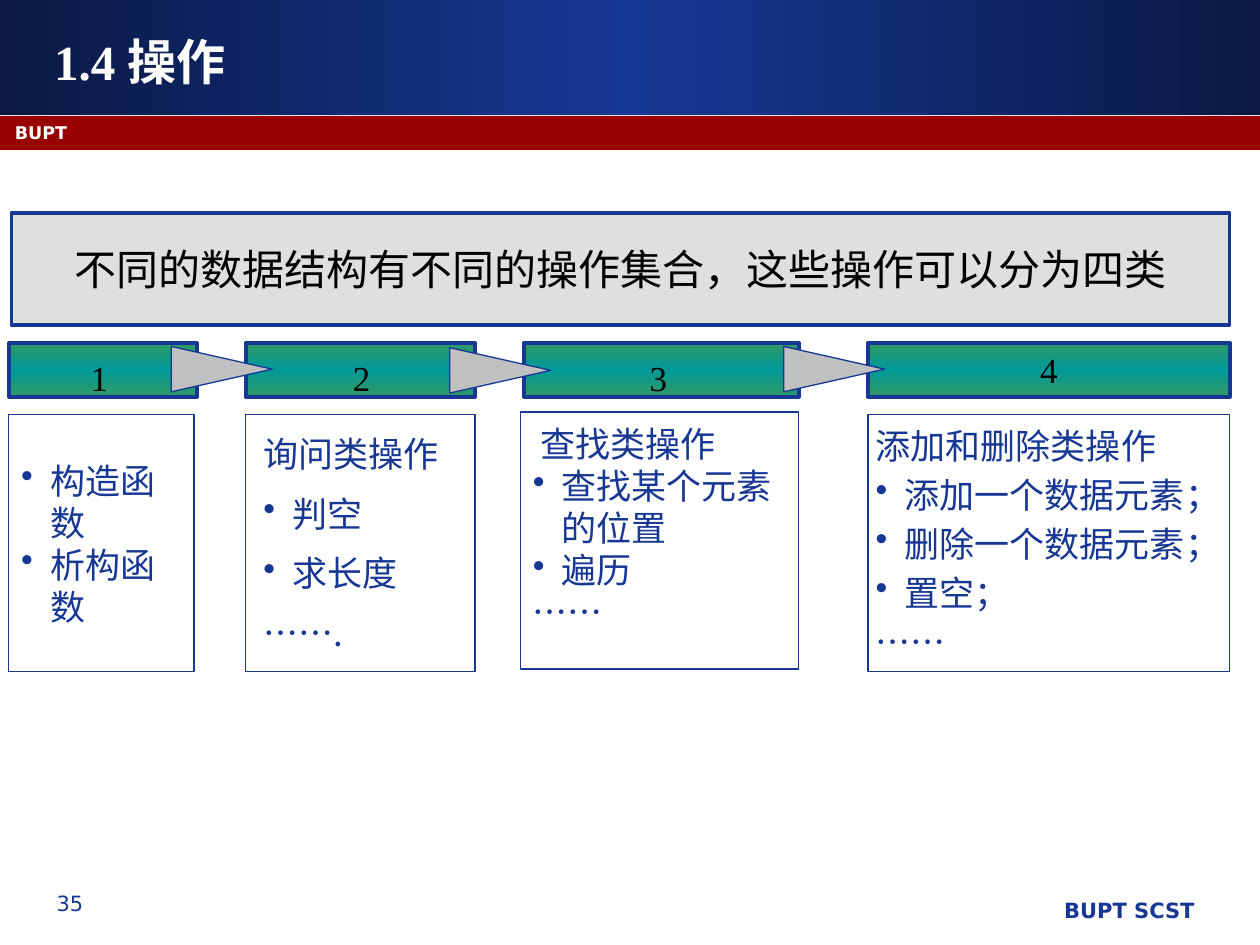
from copy import deepcopy

from lxml import etree
from pptx import Presentation
from pptx.dml.color import RGBColor
from pptx.enum.shapes import MSO_SHAPE
from pptx.enum.text import MSO_ANCHOR, PP_ALIGN
from pptx.oxml.ns import qn
from pptx.util import Inches, Pt

RECT, TRIANGLE = MSO_SHAPE.RECTANGLE, MSO_SHAPE.ISOSCELES_TRIANGLE
LEFT, CENTER, RIGHT = PP_ALIGN.LEFT, PP_ALIGN.CENTER, PP_ALIGN.RIGHT
TOP, MIDDLE = MSO_ANCHOR.TOP, MSO_ANCHOR.MIDDLE

NAVY = RGBColor(0x0A, 0x19, 0x44)
BLUE = RGBColor(0x16, 0x37, 0x94)
RED = RGBColor(0x99, 0x00, 0x00)
GREEN = RGBColor(0x33, 0x99, 0x66)
TEAL = RGBColor(0x00, 0x99, 0x99)
SILVER = RGBColor(0xC0, 0xC0, 0xC0)
WHITE = RGBColor(0xFF, 0xFF, 0xFF)
BLACK = RGBColor(0x00, 0x00, 0x00)

SERIF, SANS, CJK = "Times New Roman", "DejaVu Sans", "Noto Sans CJK SC"
BULLET = "•"
INSETS = (0.1, 0.05, 0.1, 0.05)


class SlideBuilder:
    def __init__(self, slide):
        self.slide = slide

    def shape(self, kind, at, fill=None, line=None, width=0.75):
        shape = self.slide.shapes.add_shape(kind, *map(Inches, at))
        shape.shadow.inherit = False
        if fill is None:
            shape.fill.background()
        else:
            shape.fill.solid()
            shape.fill.fore_color.rgb = fill
        if line is None:
            shape.line.fill.background()
        else:
            shape.line.color.rgb = line
            shape.line.width = Pt(width)
        return shape

    def gradient_bar(self, at, edge, middle, angle, line=None, width=0.75):
        bar = self.shape(RECT, at, edge, line, width)
        bar.fill.gradient()
        bar.fill.gradient_angle = angle
        stop_list = bar._element.spPr.find(qn("a:gradFill")).find(qn("a:gsLst"))
        stop_list.insert(1, deepcopy(stop_list[0]))
        for stop, position, color in zip(bar.fill.gradient_stops, (0, 0.5, 1), (edge, middle, edge)):
            stop.position = position
            stop.color.rgb = color

    def format(self, paragraph, size, font, color, bold=False, align=LEFT):
        paragraph.alignment = align
        style = paragraph.font
        style.size, style.bold, style.name = Pt(size), bold, font
        style.color.rgb = color
        etree.SubElement(style._element, qn("a:ea"), typeface=CJK)

    def frame(self, shape, anchor=TOP, insets=INSETS, wrap=True):
        frame = shape.text_frame
        frame.word_wrap = wrap
        frame.vertical_anchor = anchor
        (frame.margin_left, frame.margin_top,
         frame.margin_right, frame.margin_bottom) = map(Inches, insets)
        return frame

    def label(self, at, text, size, font, color, bold=False, align=LEFT, insets=INSETS):
        frame = self.frame(self.slide.shapes.add_textbox(*map(Inches, at)), insets=insets)
        frame.text = text
        self.format(frame.paragraphs[0], size, font, color, bold, align)

    def title(self, at, text):
        title = self.slide.shapes.title
        title.left, title.top, title.width, title.height = map(Inches, at)
        self.slide.shapes._spTree.append(title._element)
        frame = self.frame(title, MIDDLE)
        frame.text = text
        self.format(frame.paragraphs[0], 28, SERIF, WHITE, True)

    def banner(self, at, text):
        banner = self.shape(RECT, at, SILVER, BLUE, 2)
        color = banner._element.spPr.find(qn("a:solidFill"))[0]
        etree.SubElement(color, qn("a:alpha"), val="50000")
        frame = self.frame(banner, MIDDLE, wrap=False)
        frame.text = text
        self.format(frame.paragraphs[0], 24, SERIF, BLACK, align=CENTER)

    def card(self, at, lines, gap, insets):
        frame = self.frame(self.shape(RECT, at, line=BLUE), MIDDLE, insets)
        for index, line in enumerate(lines):
            paragraph = frame.paragraphs[0] if index == 0 else frame.add_paragraph()
            paragraph.text = line.removeprefix(BULLET)
            paragraph.line_spacing = Pt(24)
            if index:
                paragraph.space_before = Pt(gap)
            if line.startswith(BULLET):
                properties = paragraph._p.get_or_add_pPr()
                properties.set("marL", str(Inches(0.23)))
                properties.set("indent", str(-Inches(0.23)))
                etree.SubElement(properties, qn("a:buChar"), char=BULLET)
            self.format(paragraph, 20, CJK, BLUE)

    def pointer(self, left, top):
        self.shape(TRIANGLE, (left, top, 0.36, 0.8), SILVER, BLUE).rotation = 90


CATEGORIES = [
    ((0.07, 1.49), (0.07, 3.29, 1.47), (0.26, 2.78, 1.06), 0, INSETS,
     ["•构造函数", "•析构函数"]),
    ((1.95, 1.82), (1.95, 3.29, 1.82), (2.29, 2.78, 1.16), 10, (0.14, 0.05, 0.1, 0.05),
     ["询问类操作", "•判空", "•求长度", "……."]),
    ((4.16, 2.18), (4.13, 3.27, 2.21), (4.58, 2.78, 1.29), 0, (0.1, 0.05, 0.1, 0.25),
     [" 查找类操作", "•查找某个元素的位置", "•遍历", "……"]),
    ((6.89, 2.87), (6.89, 3.29, 2.87), (7.68, 2.72, 1.29), 4, (0.06, 0.05, 0.06, 0.05),
     ["添加和删除类操作", "•添加一个数据元素；", "•删除一个数据元素；", "•置空；", "……"]),
]
POINTERS = [(1.58, 2.53), (3.79, 2.54), (6.44, 2.53)]


def main():
    deck = Presentation()
    deck.slide_width, deck.slide_height = Inches(10), Inches(7.5)
    builder = SlideBuilder(deck.slides.add_slide(deck.slide_layouts[5]))

    builder.gradient_bar((0, 0, 10, 0.91), NAVY, BLUE, 0)
    builder.shape(RECT, (0, 0.92, 10, 0.27), RED)
    builder.title((0.33, 0.17, 9.25, 0.62), "1.4 操作")
    builder.label((4.21, 7.07, 5.37, 0.35), "BUPT SCST", 12, SANS, BLUE, True, RIGHT)
    builder.label((0.12, 7.02, 0.87, 0.35), "35", 12, SANS, BLUE, align=CENTER)
    builder.label((0.02, 0.92, 9.25, 0.25), "BUPT", 10, SANS, WHITE, True)

    builder.banner((0.09, 1.69, 9.67, 0.89), "不同的数据结构有不同的操作集合，这些操作可以分为四类")
    for (left, width), card, _, gap, insets, lines in CATEGORIES:
        builder.gradient_bar((left, 2.72, width, 0.43), GREEN, TEAL, 90, BLUE, 2.25)
        builder.card((*card, 2.04), lines, gap, insets)
    for left, top in POINTERS:
        builder.pointer(left, top)
    for number, (_, _, place, *_) in enumerate(CATEGORIES, 1):
        builder.label((*place, 0.3), str(number), 20, SERIF, BLACK, align=CENTER,
                      insets=(0.02, 0.05, 0.02, 0.05))

    deck.save("out.pptx")


if __name__ == "__main__":
    main()
